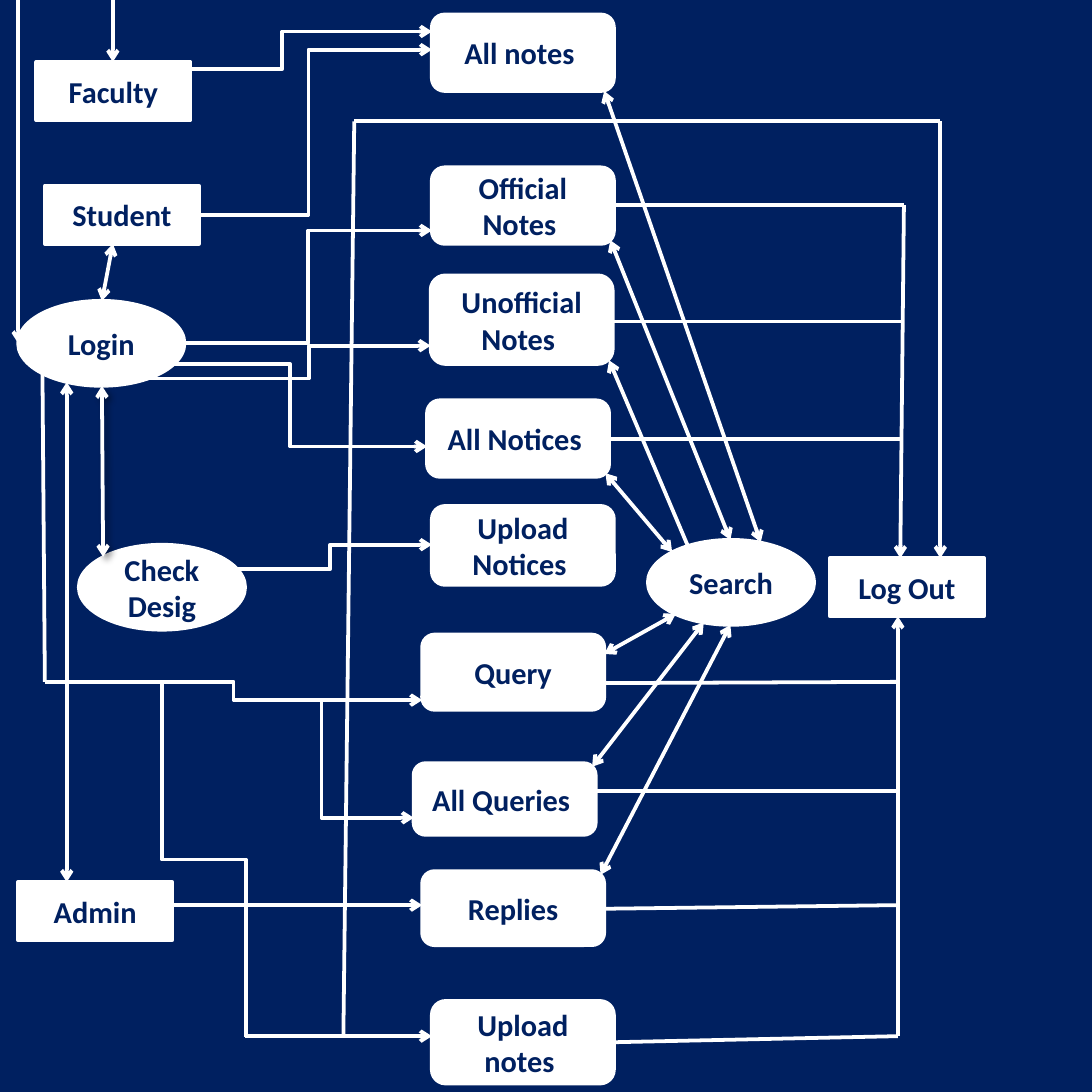
from dataclasses import dataclass
from pptx import Presentation
from pptx.dml.color import RGBColor
from pptx.enum.shapes import MSO_CONNECTOR, MSO_SHAPE
from pptx.enum.text import MSO_ANCHOR, PP_ALIGN
from pptx.oxml.ns import qn
from pptx.util import Inches, Pt
from lxml.etree import SubElement


@dataclass(frozen=True)
class Theme:
    """Colours and type sizes of the chart."""
    navy: RGBColor = RGBColor(0x00, 0x20, 0x60)
    white: RGBColor = RGBColor(0xFF, 0xFF, 0xFF)
    font: str = "Calibri"
    size: Pt = Pt(18)
    line: Pt = Pt(2.25)


class Flow:
    """Draws flow chart parts on one slide."""

    def __init__(self, slide, theme):
        """Keep the slide and theme, and paint the ground."""
        self.slide, self.theme = slide, theme
        fill = slide.background.fill
        fill.solid()
        fill.fore_color.rgb = theme.navy

    def node(self, kind, text, left, top, width, height):
        """Add a white shape with a centred label."""
        theme = self.theme
        box = self.slide.shapes.add_shape(
            kind, *map(Inches, (left, top, width, height)))
        box.shadow.inherit = False
        box.fill.solid()
        box.fill.fore_color.rgb = theme.white
        box.line.color.rgb = theme.white
        box.line.width = theme.line
        frame = box.text_frame
        frame.word_wrap = True
        frame.vertical_anchor = MSO_ANCHOR.MIDDLE
        para = frame.paragraphs[0]
        para.alignment = PP_ALIGN.CENTER
        run = para.add_run()
        run.text = text
        font = run.font
        font.name, font.size, font.bold = theme.font, theme.size, True
        font.color.rgb = theme.navy

    def link(self, start, end, ends="", kind=MSO_CONNECTOR.STRAIGHT):
        """Add a connector; ends names the ends with arrowheads."""
        wire = self.slide.shapes.add_connector(
            kind, *map(Inches, (*start, *end)))
        wire.line.color.rgb = self.theme.white
        wire.line.width = self.theme.line
        props = wire._element.spPr
        edge = props.find(qn("a:ln"))
        for name in ends.split():
            SubElement(edge, qn(f"a:{name}End"), type="arrow")
        SubElement(props, qn("a:effectLst"))
        return wire

    def bend(self, start, end, ends="tail", turn=0.5, angle=0):
        """Add an elbow that turns at a share of its width."""
        wire = self.link(start, end, ends, MSO_CONNECTOR.ELBOW)
        props = wire._element.spPr
        if turn != 0.5:
            shape = props.find(qn("a:prstGeom"))
            guides = shape.find(qn("a:avLst"))
            if guides is None:
                guides = SubElement(shape, qn("a:avLst"))
            SubElement(guides, qn("a:gd"), name="adj1",
                       fmla=f"val {round(turn * 100000)}")
        if angle:
            props.find(qn("a:xfrm")).set("rot", str(angle * 60000))

    def shade(self, wire):
        """Give a connector a soft shadow."""
        effects = wire._element.spPr.find(qn("a:effectLst"))
        glow = SubElement(effects, qn("a:outerShdw"), blurRad=str(Pt(4)),
                          dist=str(Pt(3)), dir=str(45 * 60000))
        tint = SubElement(glow, qn("a:srgbClr"), val="000000")
        SubElement(tint, qn("a:alpha"), val="40000")


deck = Presentation()
deck.slide_width = deck.slide_height = Inches(9)
flow = Flow(deck.slides.add_slide(deck.slide_layouts[6]), Theme())

# Roles, steps and pages
for text, left, top in (("Admin", 0.15, 7.27), ("Faculty", 0.3, 0.51),
                        ("Student", 0.37, 1.53), ("Log Out", 6.84, 4.6)):
    flow.node(MSO_SHAPE.RECTANGLE, text, left, top, 1.27, 0.48)
for text, left, top in (("Login", 0.15, 2.48), ("Search", 5.34, 4.45),
                        ("Check Desig", 0.65, 4.49)):
    flow.node(MSO_SHAPE.OVAL, text, left, top, 1.37, 0.7)
pages = (
    ("All notes ", 3.56, 0.12, 0.63),
    ("Official Notes ", 3.56, 1.38, 0.63),
    ("Unofficial Notes ", 3.55, 2.27, 0.73),
    ("All Notices ", 3.52, 3.3, 0.63),
    ("Upload Notices ", 3.56, 4.17, 0.65),
    ("Query", 3.48, 5.23, 0.62),
    ("All Queries ", 3.41, 6.29, 0.59),
    ("Replies", 3.48, 7.18, 0.61),
    ("Upload notes ", 3.56, 8.25, 0.68),
)
for text, left, top, height in pages:
    flow.node(MSO_SHAPE.ROUNDED_RECTANGLE, text, left, top, 1.5, height)

# Elbows from roles and steps to the left edge of each page
elbows = (
    ((1.57, 0.57), (3.56, 0.26), 0.38),
    ((1.64, 1.77), (3.56, 0.41), 0.47),
    ((1.52, 2.83), (3.56, 1.9), 0.5),
    ((1.22, 3.12), (3.55, 2.85), 0.57),
    ((1.43, 3), (3.52, 3.68), 0.46),
    ((1.95, 4.69), (3.56, 4.49), 0.48),
    ((0.37, 5.62), (3.48, 5.77), 0.5),
    ((1.92, 5.77), (3.41, 6.74), 0.49),
)
for start, end, turn in elbows:
    flow.bend(start, end, turn=turn)
flow.bend((3.14, 6.74), (0.22, 7.43), ends="", angle=270)

# Two-way links around Search and Login
pairs = (
    ((4.98, 0.75), (6.27, 4.47)),
    ((5.03, 1.98), (6.02, 4.45)),
    ((5.02, 2.97), (5.75, 4.69)),
    ((4.99, 3.9), (5.54, 4.55)),
    ((4.98, 5.39), (5.57, 5.06)),
    ((4.88, 6.32), (5.8, 5.13)),
    ((4.95, 7.21), (6.02, 5.15)),
    ((0.93, 2.01), (0.84, 2.48)),
    ((0.55, 3.15), (0.55, 7.27)),
)
for start, end in pairs:
    flow.link(start, end, "head tail")
flow.shade(flow.link((0.84, 3.18), (0.85, 4.59), "head tail"))

# One-way arrows
arrows = (
    ((0.93, 0), (0.93, 0.51)),
    ((0.15, 0), (0.15, 2.83)),
    ((1.42, 7.46), (3.48, 7.46)),
    ((2.02, 8.54), (3.56, 8.54)),
    ((7.45, 1.69), (7.42, 4.6)),
    ((7.4, 8.54), (7.4, 5.08)),
    ((7.75, 1), (7.75, 4.6)),
)
for start, end in arrows:
    flow.link(start, end, "tail")

# Plain lines: Login trunk, upload loop, then pages to Log Out
lines = (
    ((0.35, 3.08), (0.37, 5.62)),
    ((2.83, 8.54), (2.92, 1)),
    ((2.92, 1), (7.75, 1)),
    ((5.06, 1.69), (7.45, 1.69)),
    ((5.05, 2.65), (7.44, 2.65)),
    ((5.02, 3.62), (7.43, 3.62)),
    ((4.98, 5.63), (7.4, 5.62)),
    ((4.91, 6.52), (7.4, 6.52)),
    ((4.98, 7.49), (7.4, 7.46)),
    ((5.06, 8.59), (7.4, 8.54)),
)
for start, end in lines:
    flow.link(start, end)

deck.save("out.pptx")
